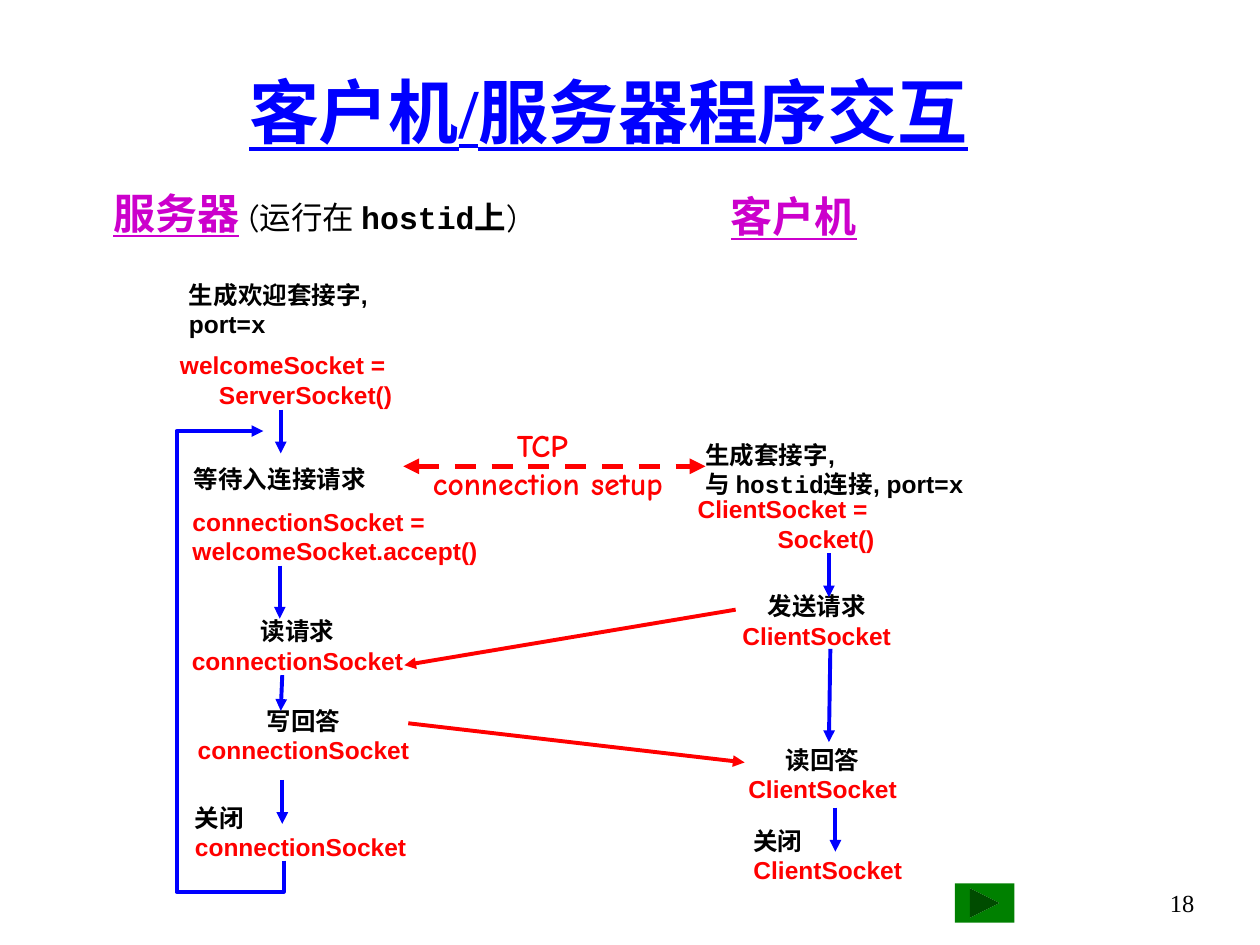
"""Build a slide on the socket exchange between a client and a server."""
from lxml.etree import SubElement
from pptx import Presentation
from pptx.dml.color import RGBColor
from pptx.enum.dml import MSO_LINE
from pptx.enum.shapes import MSO_CONNECTOR, MSO_SHAPE
from pptx.enum.text import MSO_ANCHOR, MSO_AUTO_SIZE, PP_ALIGN
from pptx.oxml.ns import qn
from pptx.util import Cm, Pt

BLACK = RGBColor(0, 0, 0)
RED = RGBColor(255, 0, 0)
BLUE = RGBColor(0, 0, 255)
PINK = RGBColor(204, 0, 204)
GREEN = RGBColor(0, 128, 0)
LEFT, MID, RIGHT = PP_ALIGN.LEFT, PP_ALIGN.CENTER, PP_ALIGN.RIGHT
SLACK = 0.2
SHIFT = {LEFT: 0, MID: SLACK / 2, RIGHT: SLACK}

TITLE = "客户机/服务器程序交互"
STYLES = {
    "title": ("Times New Roman", 40, BLUE, True, True),
    "head": ("Comic Neue", 24, PINK, True, True),
    "gap": ("Comic Neue", 24, BLACK, False, False),
    "note": ("Comic Neue", 18, BLACK, False, False),
    "host": ("Courier New", 18, BLACK, True, False),
    "step": ("Arial", 14, BLACK, True, False),
    "mono": ("Courier New", 14, BLACK, True, False),
    "call": ("Arial", 14, RED, True, False),
    "setup": ("Comic Neue", 18, RED, True, False),
    "page": ("Times New Roman", 14, BLACK, False, False),
}
TALL = 1.45
SERVER, CLIENT = "connectionSocket", "ClientSocket"


def pair(step, call):
    return [[(step, "step")], [(call, "call")]]


def calls(*lines):
    return [[(line, "call")] for line in lines]


BOXES = [
    ((1.63, 3.66, 9.45, 1.27), MID,
     [[("服务器", "head"), (" ", "gap"), ("(运行在 ", "note"),
       ("hostid上", "host"), (")", "note")]]),
    ((14.48, 3.71, 3.05, 1.27), MID, [[("客户机", "head")]]),
    ((3.56, 5.51, 4.22, TALL), LEFT,
     [[("生成欢迎套接字,", "step")], [("port=", "step"), ("x", "mono")]]),
    ((3.38, 6.93, 4.78, TALL), RIGHT,
     calls("welcomeSocket = ", "ServerSocket()")),
    ((3.66, 9.22, 3.96, 0.86), LEFT, [[("等待入连接请求", "step")]]),
    ((3.63, 10.08, 6.25, TALL), LEFT,
     calls("connectionSocket =", "welcomeSocket.accept()")),
    ((3.61, 12.29, 4.78, TALL), MID, pair("读请求", SERVER)),
    ((3.73, 14.1, 4.78, TALL), MID, pair("写回答", SERVER)),
    ((3.68, 16.05, 4.78, TALL), LEFT, pair("关闭", SERVER)),
    ((13.97, 8.74, 6.07, TALL), LEFT,
     [[("生成套接字,", "step")],
      [("与 ", "step"), ("hostid连接", "mono"), (", port=", "step"),
       ("x", "mono")]]),
    ((13.82, 9.83, 4.06, TALL), RIGHT, calls("ClientSocket = ", "Socket()")),
    ((14.71, 11.79, 3.51, TALL), MID, pair("发送请求", CLIENT)),
    ((14.83, 14.88, 3.51, TALL), MID, pair("读回答", CLIENT)),
    ((14.94, 16.51, 3.51, TALL), LEFT, pair("关闭", CLIENT)),
    ((8.48, 8.46, 5.13, 1.78), MID,
     [[("TCP ", "setup")], [("connection setup", "setup")]]),
]
PAGE = ((23.26, 17.78, 1.07, 1.27), RIGHT, [[("18", "page")]])
FLOWS = [
    (5.66, 8.26, 5.66, 9.14),
    (5.64, 11.4, 5.64, 12.47),
    (5.69, 13.61, 5.66, 14.33),
    (5.69, 15.72, 5.69, 16.61),
    (16.71, 11.15, 16.71, 12.04),
    (16.74, 13.08, 16.71, 14.96),
    (16.84, 16.28, 16.84, 17.17),
]
SENDS = [(14.83, 12.29, 8.15, 13.41), (8.23, 14.58, 15.01, 15.37)]
SETUP = (8.13, 9.4, 14.22, 9.4)
LOOP = [(5.72, 17.35), (5.72, 17.98), (3.56, 17.98), (3.56, 8.69), (5.31, 8.69)]
BUTTON = (19.25, 17.81, 1.2, 0.79)


def style(run, name):
    face, size, color, bold, under = STYLES[name]
    font = run.font
    font.name, font.size = face, Pt(size)
    font.bold, font.underline = bold, under
    font.color.rgb = color


def add_text(slide, place, align, lines, anchor=MSO_ANCHOR.MIDDLE):
    left, top, width, height = place
    place = left - SHIFT[align], top, width + SLACK, height
    frame = slide.shapes.add_textbox(*map(Cm, place)).text_frame
    frame.word_wrap = False
    frame.auto_size = MSO_AUTO_SIZE.SHAPE_TO_FIT_TEXT
    frame.vertical_anchor = anchor
    for i, line in enumerate(lines):
        para = frame.add_paragraph() if i else frame.paragraphs[0]
        para.alignment = align
        for words, name in line:
            run = para.add_run()
            run.text = words
            style(run, name)


def add_heads(line, color, width, *ends):
    line.color.rgb = color
    line.width = Pt(width)
    for end in ends:
        SubElement(line._get_or_add_ln(), qn("a:" + end), type="triangle")


def add_arrow(slide, ends, color, width=2.25, dash=None, heads=("tailEnd",)):
    arrow = slide.shapes.add_connector(MSO_CONNECTOR.STRAIGHT, *map(Cm, ends))
    if dash:
        arrow.line.dash_style = dash
    add_heads(arrow.line, color, width, *heads)
    SubElement(arrow._element.spPr, qn("a:effectLst"))


def add_loop(slide):
    start, *rest = [(Cm(x), Cm(y)) for x, y in LOOP]
    build = slide.shapes.build_freeform(*start)
    build.add_line_segments(rest, close=False)
    loop = build.convert_to_shape()
    loop.fill.background()
    loop.shadow.inherit = False
    add_heads(loop.line, BLUE, 2.25, "tailEnd")


def main():
    deck = Presentation()
    deck.slide_width, deck.slide_height = Cm(25.4), Cm(19.05)
    slide = deck.slides.add_slide(deck.slide_layouts[5])

    title = slide.shapes.title
    title.left, title.top, title.width, title.height = map(
        Cm, (1.47, 0.64, 21.59, 3.18))
    title.text_frame.text = TITLE
    title.text_frame.vertical_anchor = MSO_ANCHOR.MIDDLE
    style(title.text_frame.paragraphs[0].runs[0], "title")

    for box in BOXES:
        add_text(slide, *box)
    add_text(slide, *PAGE, anchor=MSO_ANCHOR.TOP)

    for ends in FLOWS:
        add_arrow(slide, ends, BLUE)
    for ends in SENDS:
        add_arrow(slide, ends, RED)
    add_arrow(slide, SETUP, RED, 3, MSO_LINE.DASH, ("headEnd", "tailEnd"))
    add_loop(slide)

    button = slide.shapes.add_shape(
        MSO_SHAPE.ACTION_BUTTON_FORWARD_OR_NEXT, *map(Cm, BUTTON))
    button.shadow.inherit = False
    button.fill.solid()
    button.fill.fore_color.rgb = GREEN
    button.line.fill.background()
    deck.save("out.pptx")


if __name__ == "__main__":
    main()
